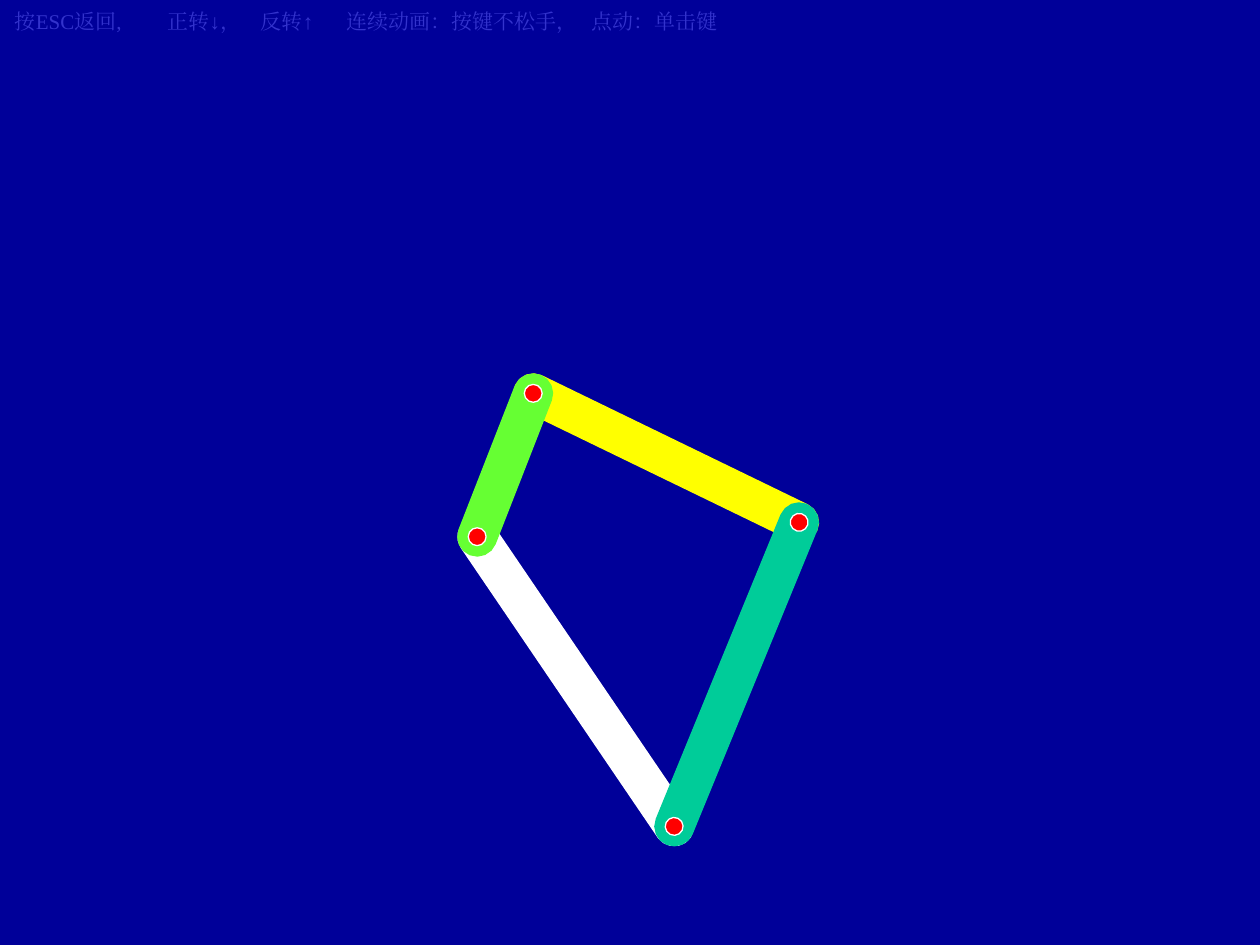
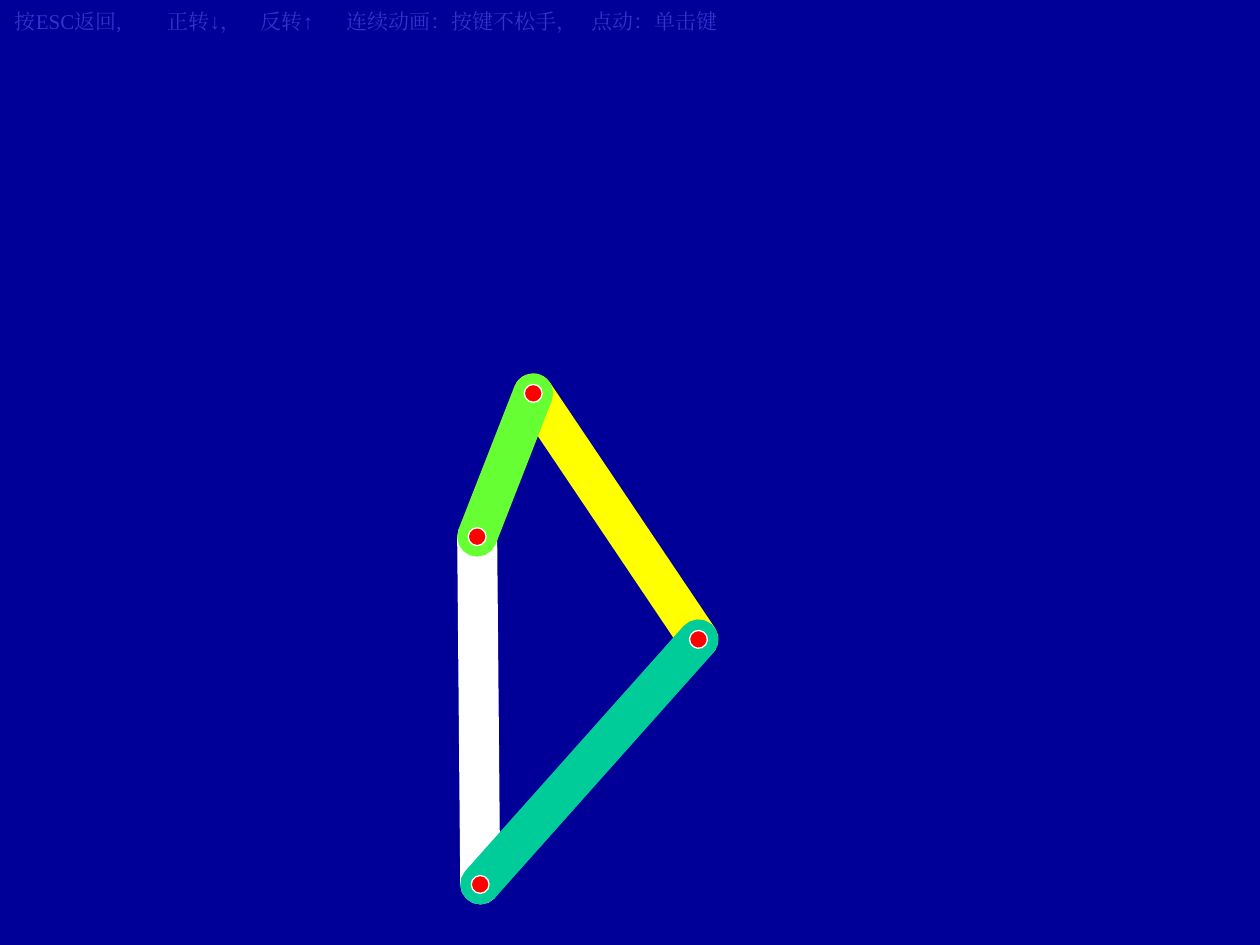
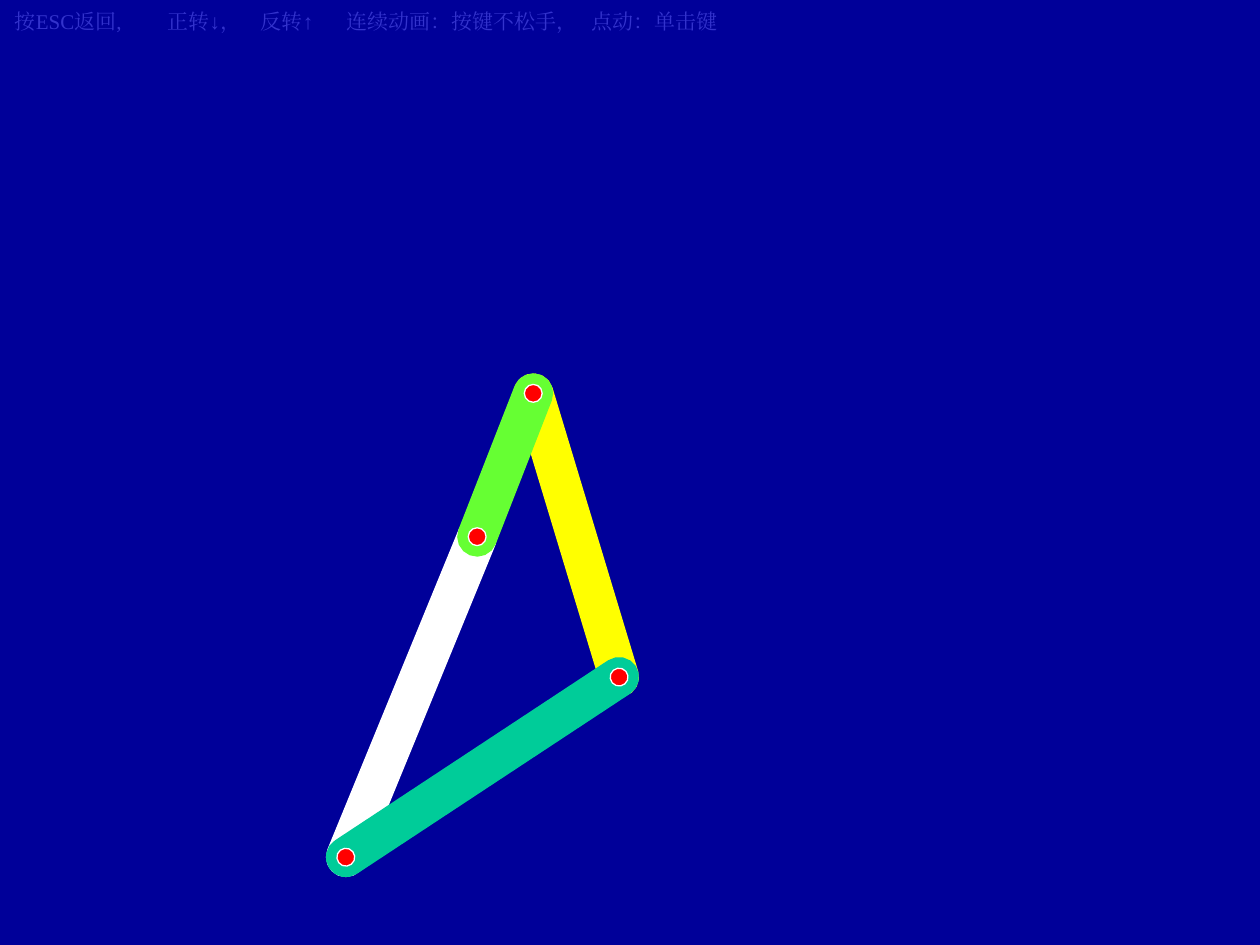
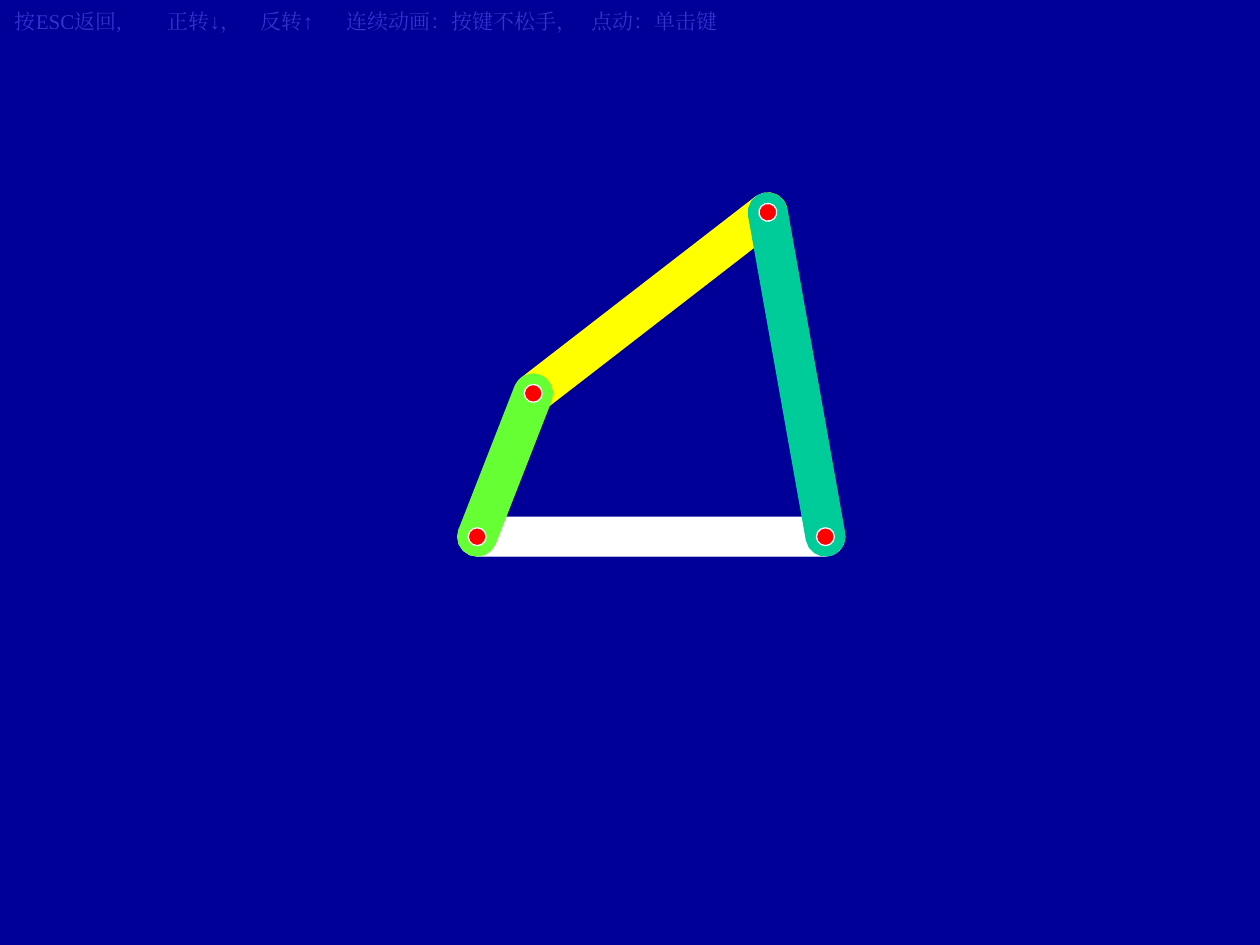
import math
import pptx
import pptx.dml.color
import pptx.enum.shapes
import pptx.oxml.ns
import pptx.util
from lxml import etree

Cm = pptx.util.Cm
Pt = pptx.util.Pt
RGBColor = pptx.dml.color.RGBColor
qn = pptx.oxml.ns.qn

NAVY = RGBColor(0x00, 0x00, 0x99)
BLUE = RGBColor(0x33, 0x33, 0xCC)
WHITE = RGBColor(0xFF, 0xFF, 0xFF)
YELLOW = RGBColor(0xFF, 0xFF, 0x00)
TEAL = RGBColor(0x00, 0xCC, 0x99)
GREEN = RGBColor(0x66, 0xFF, 0x33)
RED = RGBColor(0xFF, 0x00, 0x00)

FONT = "Times New Roman"
HINT = "按ESC返回,\t正转↓，\t反转↑\t连续动画：按键不松手，\t点动：单击键"
TABS = (3.08, 4.96, 6.69, 11.63)
HINT_BOX = (0.05, 0.05, 16.48, 0.76)

PIVOT = (9.62, 10.82)
HEAD = (1.13, -2.89)
RADIUS = 0.39
PIN = 0.36
STEPS = 8
BED_BASE, ROD_BASE, ARM_BASE = 0, -30.8, 66.4
POSES = (
    {"foot": (3.97, 5.84), "tip": (6.49, -0.29)},
    {"foot": (0.06, 7.01), "tip": (4.46, 2.07)},
    {"foot": (-2.65, 6.46), "tip": (2.86, 2.83)},
    {"foot": (7.02, 0), "tip": (5.86, -6.54)},
)


def paint(shape, fill, line):
    shape.shadow.inherit = False
    shape.fill.solid()
    shape.fill.fore_color.rgb = fill
    shape.line.color.rgb = line
    shape.line.width = Pt(0.75)


def shift(point, origin):
    return point[0] + origin[0], point[1] + origin[1]


def slope(start, end):
    return math.degrees(math.atan2(end[1] - start[1], end[0] - start[0]))


def add_bar(shapes, start, end, base, color):
    mid = [(a + b) / 2 for a, b in zip(start, end)]
    half = math.dist(start, end) / 2
    turn = math.radians(base)
    points = []
    for side, first in ((1, -90), (-1, 90)):
        hub = (mid[0] + side * half * math.cos(turn),
               mid[1] + side * half * math.sin(turn))
        for step in range(STEPS + 1):
            angle = turn + math.radians(first + 180 * step / STEPS)
            points.append((Cm(hub[0] + RADIUS * math.cos(angle)),
                           Cm(hub[1] + RADIUS * math.sin(angle))))
    path = shapes.build_freeform(*points[0])
    path.add_line_segments(points[1:], close=True)
    bar = path.convert_to_shape()
    angle = round(slope(start, end) - base, 1) % 360
    if angle:
        bar.rotation = angle
    paint(bar, color, color)
    return angle


def add_pin(shapes, point, angle=0):
    pin = shapes.add_shape(
        pptx.enum.shapes.MSO_SHAPE.OVAL,
        Cm(point[0] - PIN / 2), Cm(point[1] - PIN / 2), Cm(PIN), Cm(PIN))
    if angle:
        pin.rotation = angle
    paint(pin, RED, WHITE)


def add_crank(slide, pivot, head):
    shapes = slide.shapes.add_group_shape().shapes
    add_bar(shapes, pivot, head, slope(pivot, head), GREEN)
    for point in (pivot, head):
        add_pin(shapes, point)


def add_links(slide, pivot, pose):
    head, foot, tip = (shift(p, pivot) for p in (HEAD, pose["foot"], pose["tip"]))
    bed = add_bar(slide.shapes, pivot, foot, BED_BASE, WHITE)
    add_bar(slide.shapes, head, tip, ROD_BASE, YELLOW)
    arm = add_bar(slide.shapes, tip, foot, ARM_BASE, TEAL)
    add_pin(slide.shapes, tip, arm)
    add_pin(slide.shapes, foot, bed)
    add_crank(slide, pivot, head)


def add_hint(slide, box):
    frame = slide.shapes.add_textbox(*map(Cm, box)).text_frame
    frame.word_wrap = True
    frame.text = HINT
    para = frame.paragraphs[0]
    para.space_before = Pt(7.5)
    stops = etree.SubElement(para._p.get_or_add_pPr(), qn("a:tabLst"))
    for tab in TABS:
        etree.SubElement(stops, qn("a:tab"), pos=str(Cm(tab)), algn="l")
    for run in para.runs:
        run.font.size = Pt(12)
        run.font.name = FONT
        run.font.color.rgb = BLUE
        etree.SubElement(run._r.get_or_add_rPr(), qn("a:ea"), typeface=FONT)


def main():
    deck = pptx.Presentation()
    deck.slide_width, deck.slide_height = Cm(25.4), Cm(19.05)
    back = deck.slide_master.background.fill
    back.solid()
    back.fore_color.rgb = NAVY
    blank = deck.slide_layouts.get_by_name("Blank")
    for pose in POSES:
        slide = deck.slides.add_slide(blank)
        add_links(slide, PIVOT, pose)
        add_hint(slide, HINT_BOX)
    deck.save("out.pptx")


if __name__ == "__main__":
    main()
